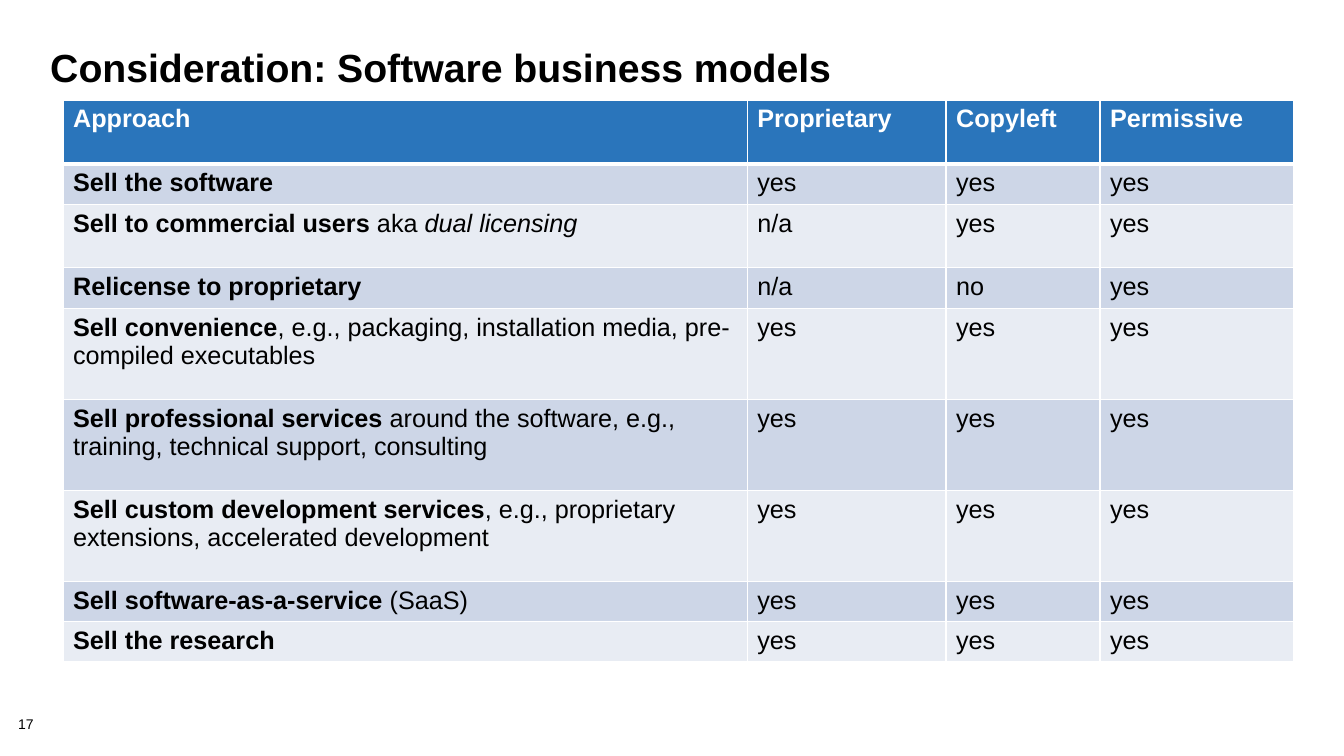
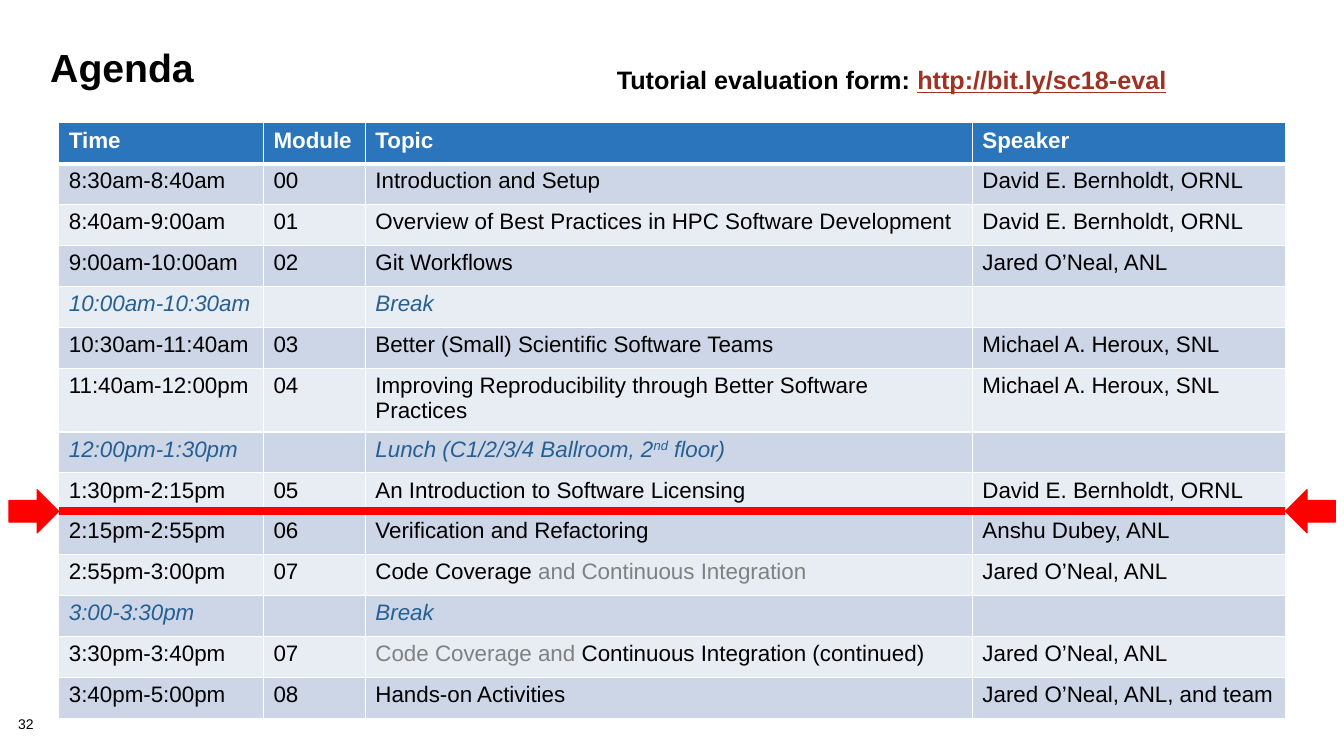
from lxml import etree
from pptx import Presentation
from pptx.dml.color import RGBColor
from pptx.enum.shapes import MSO_CONNECTOR, MSO_SHAPE
from pptx.enum.text import MSO_AUTO_SIZE, PP_ALIGN
from pptx.oxml.ns import qn
from pptx.util import Pt

STRAIGHT = MSO_CONNECTOR.STRAIGHT
RIGHT_ARROW = MSO_SHAPE.RIGHT_ARROW
LEFT_ARROW = MSO_SHAPE.LEFT_ARROW
FIT_TEXT = MSO_AUTO_SIZE.SHAPE_TO_FIT_TEXT
CENTER = PP_ALIGN.CENTER

FONT = "Arial"
COLORS = {
    "text": "000000", "white": "FFFFFF", "header": "2A75BB",
    "band_dark": "CDD6E7", "band_light": "E8ECF3", "pause": "266093",
    "muted": "808080", "link": "A03123", "marker": "FF0000",
}
STYLES = {
    "plain": {},
    "bold": {"bold": True},
    "italic": {"italic": True},
    "header": {"bold": True, "color": "white"},
    "pause": {"italic": True, "color": "pause"},
    "pause_raised": {"italic": True, "color": "pause", "raised": True},
    "muted": {"color": "muted"},
    "link": {"bold": True, "color": "link", "underline": True},
}


def rgb(name):
    return RGBColor.from_string(COLORS[name])


class Deck:
    """Holds the shared style and the current slide."""

    def __init__(self):
        self.prs = Presentation()
        self.prs.slide_width, self.prs.slide_height = Pt(960), Pt(540)
        self.slide = None

    def start(self, title, number):
        self.slide = self.prs.slides.add_slide(self.prs.slide_layouts[6])
        page = self.text([(number, "plain")], (13, 512.6, 40, 11.5), 10, 0.9)
        page.margin_left = page.margin_right = 0
        page.margin_top = page.margin_bottom = 0
        self.text([(title, "bold")], (28.8, 32.4, 896, 72), 28, 0.85)

    def runs(self, paragraph, parts, size):
        for words, style_name in parts:
            style = STYLES[style_name]
            run = paragraph.add_run()
            run.text = words
            font = run.font
            font.name, font.size = FONT, Pt(size)
            font.bold = style.get("bold", False)
            font.italic = style.get("italic", False)
            font.underline = style.get("underline", False)
            font.color.rgb = rgb(style.get("color", "text"))
            if style.get("raised"):
                run._r.get_or_add_rPr().set("baseline", "30000")

    def text(self, parts, box, size, spacing):
        frame = self.slide.shapes.add_textbox(*map(Pt, box)).text_frame
        frame.word_wrap = True
        paragraph = frame.paragraphs[0]
        paragraph.line_spacing = spacing
        self.runs(paragraph, parts, size)
        return frame

    def centered_line(self, parts, box, size, spacing):
        frame = self.text(parts, box, size, spacing)
        frame.word_wrap = False
        frame.auto_size = FIT_TEXT
        frame.paragraphs[0].alignment = CENTER

    def borders(self, cell, top, bottom):
        properties = cell._tc.get_or_add_tcPr()
        widths = (("a:lnL", 1), ("a:lnR", 1), ("a:lnT", top), ("a:lnB", bottom))
        for position, (tag, width) in enumerate(widths):
            edge = etree.Element(qn(tag), w=str(Pt(width)))
            fill = etree.SubElement(edge, qn("a:solidFill"))
            etree.SubElement(fill, qn("a:srgbClr"), val=COLORS["white"])
            properties.insert(position, edge)

    def table(self, header, rows, corner, widths, heights, size):
        content = [[[(label, "header")] for label in header], *rows]
        table = self.slide.shapes.add_table(
            len(content), len(header), *map(Pt, (*corner, sum(widths), sum(heights)))
        ).table
        table.horz_banding = False
        for column, width in zip(table.columns, widths):
            column.width = Pt(width)
        for index, (row, height) in enumerate(zip(table.rows, heights)):
            row.height = Pt(height)
            band = "band_dark" if index % 2 else "band_light"
            for cell, parts in zip(row.cells, content[index]):
                cell.fill.solid()
                cell.fill.fore_color.rgb = rgb(band if index else "header")
                self.borders(cell, 3 if index == 1 else 1, 1 if index else 3)
                if isinstance(parts, str):
                    parts = [(parts, "plain")] if parts else []
                self.runs(cell.text_frame.paragraphs[0], parts, size)

    def line(self, x1, x2, y, width):
        rule = self.slide.shapes.add_connector(STRAIGHT, *map(Pt, (x1, y, x2, y)))
        rule.line.color.rgb = rgb("marker")
        rule.line.width = Pt(width)
        etree.SubElement(rule._element.spPr, qn("a:effectLst"))

    def arrow(self, kind, box):
        arrow = self.slide.shapes.add_shape(kind, *map(Pt, box))
        arrow.shadow.inherit = False
        arrow.fill.solid()
        arrow.fill.fore_color.rgb = rgb("marker")
        arrow.line.color.rgb = rgb("marker")
        arrow.line.width = Pt(0.75)


def pause(time, *topic):
    return [[(time, "pause")], "", list(topic), ""]


def approach(name, detail, *answers):
    return [[(name, "bold"), *detail], *(answers or ("yes",) * 3)]


def business_models(deck):
    deck.start("Consideration: Software business models", "17")
    rows = [
        approach("Sell the software", []),
        approach("Sell to commercial users",
                 [(" aka ", "plain"), ("dual licensing", "italic")], "n/a", "yes", "yes"),
        approach("Relicense to proprietary", [], "n/a", "no", "yes"),
        approach("Sell convenience",
                 [(", e.g., packaging, installation media, pre-compiled executables", "plain")]),
        approach("Sell professional services ",
                 [("around the software, e.g., training, technical support, consulting", "plain")]),
        approach("Sell custom development services",
                 [(", e.g., proprietary extensions, accelerated development", "plain")]),
        approach("Sell software-as-a-service ", [("(SaaS)", "plain")]),
        approach("Sell the research", []),
    ]
    one_line, spaced, two_lines = 27.9, 45.5, 65
    heights = [spaced, one_line, spaced, one_line, *[two_lines] * 3, one_line, one_line]
    deck.table(["Approach", "Proprietary", "Copyleft", "Permissive"], rows,
               (45, 71.5), (488.8, 142, 110, 138.4), heights, 18)


def agenda(deck):
    deck.start("Agenda", "32")
    bernholdt, oneal, heroux = (
        "David E. Bernholdt, ORNL", "Jared O’Neal, ANL", "Michael A. Heroux, SNL")
    rows = [
        ["8:30am-8:40am", "00", "Introduction and Setup", bernholdt],
        ["8:40am-9:00am", "01", "Overview of Best Practices in HPC Software Development",
         bernholdt],
        ["9:00am-10:00am", "02", "Git Workflows", oneal],
        pause("10:00am-10:30am", ("Break", "pause")),
        ["10:30am-11:40am", "03", "Better (Small) Scientific Software Teams", heroux],
        ["11:40am-12:00pm", "04",
         "Improving Reproducibility through Better Software Practices", heroux],
        pause("12:00pm-1:30pm", ("Lunch (C1/2/3/4 Ballroom, 2", "pause"),
              ("nd", "pause_raised"), (" floor)", "pause")),
        ["1:30pm-2:15pm", "05", "An Introduction to Software Licensing", bernholdt],
        ["2:15pm-2:55pm", "06", "Verification and Refactoring", "Anshu Dubey, ANL"],
        ["2:55pm-3:00pm", "07",
         [("Code Coverage ", "plain"), ("and Continuous Integration", "muted")], oneal],
        pause("3:00-3:30pm", ("Break", "pause")),
        ["3:30pm-3:40pm", "07",
         [("Code Coverage and ", "muted"), ("Continuous Integration (continued)", "plain")],
         oneal],
        ["3:40pm-5:00pm", "08", "Hands-on Activities", "Jared O’Neal, ANL, and team"],
    ]
    left, widths = 42, (146.2, 72.8, 433.6, 223.6)
    right = left + sum(widths)
    heights = [29.2] * 6 + [42.3] + [29.2] * 7
    deck.table(["Time", "Module", "Topic", "Speaker"], rows,
               (left, 87.8), widths, heights, 16)
    deck.centered_line([("Tutorial evaluation form: ", "bold"),
                        ("http://bit.ly/sc18-eval", "link")],
                       (431.4, 31.6, 411, 36), 18, 1.5)
    marker_y, arrow_width, arrow_height = 365.2, 35.6, 31
    deck.line(left, right, marker_y, 6)
    for kind, x in ((RIGHT_ARROW, left - arrow_width), (LEFT_ARROW, right)):
        deck.arrow(kind, (x, marker_y - arrow_height / 2, arrow_width, arrow_height))


def main():
    deck = Deck()
    business_models(deck)
    agenda(deck)
    deck.prs.save("out.pptx")


if __name__ == "__main__":
    main()
